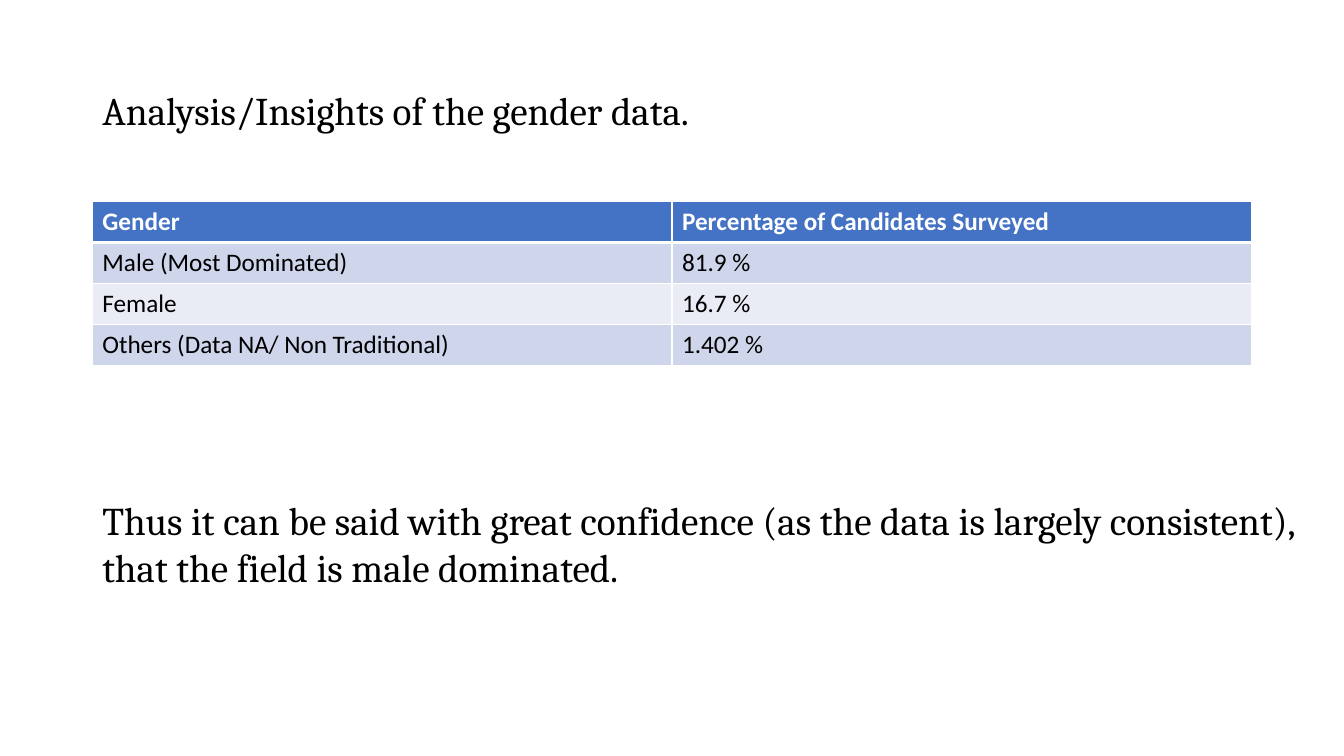
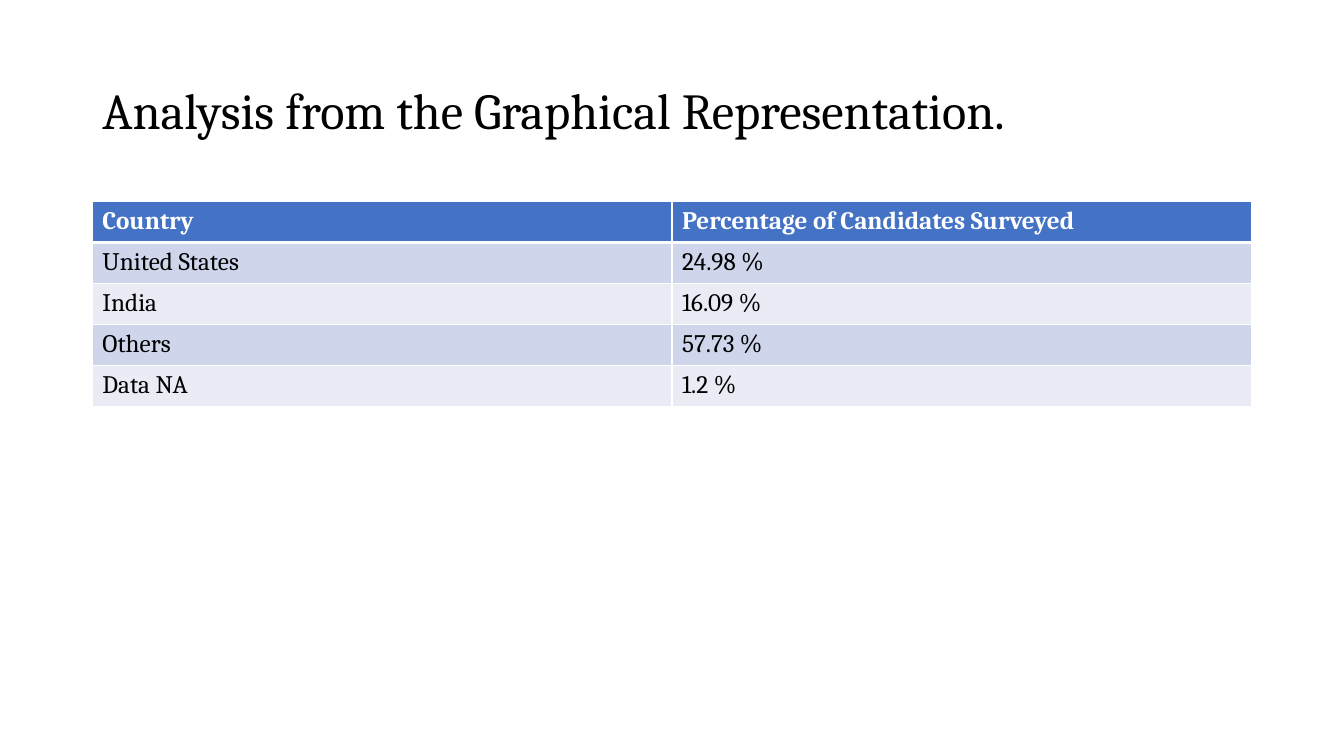
from dataclasses import dataclass

from lxml.etree import SubElement
from pptx import Presentation
from pptx.dml.color import RGBColor
from pptx.enum.text import MSO_ANCHOR, MSO_AUTO_SIZE, PP_ALIGN
from pptx.oxml.ns import qn
from pptx.util import Emu, Pt

EMU_PER_PX = 9525


# Shared colours, fonts and type sizes
@dataclass(frozen=True)
class Theme:
    text: str = "000000"
    white: str = "FFFFFF"
    header: str = "4472C4"
    band_dark: str = "CFD5EA"
    band_light: str = "E9EBF5"
    serif: str = "Cambria"
    sans: str = "Calibri"
    large_title: int = 36
    title: int = 28
    conclusion: int = 28
    table: int = 18
    thin_border: int = 1
    header_border: int = 3


THEME = Theme()

# Shared layout, in px
SLIDE_WIDTH, SLIDE_HEIGHT = 1280, 720
LEFT, CONTENT_WIDTH = 88, 1104
TITLE_TOP, TITLE_HEIGHT = 38, 139
TABLE_TOP, ROW_HEIGHT = 192, 39


def px(length):
    return Emu(length * EMU_PER_PX)


def px_box(*lengths):
    return [px(length) for length in lengths]


def format_text(text_frame, font, size, color=THEME.text, bold=False):
    for paragraph in text_frame.paragraphs:
        paragraph.alignment = PP_ALIGN.LEFT
        for run in paragraph.runs:
            run.font.name = font
            run.font.size = Pt(size)
            run.font.bold = bold
            run.font.color.rgb = RGBColor.from_string(color)


# Slide with its title
def add_titled_slide(presentation, title, size):
    slide = presentation.slides.add_slide(presentation.slide_layouts[5])
    shape = slide.shapes.title
    shape.left, shape.top, shape.width, shape.height = px_box(
        LEFT, TITLE_TOP, CONTENT_WIDTH, TITLE_HEIGHT)
    text_frame = shape.text_frame
    text_frame.text = title
    text_frame.auto_size = MSO_AUTO_SIZE.NONE
    text_frame.vertical_anchor = MSO_ANCHOR.MIDDLE
    text_frame.paragraphs[0].line_spacing = 0.9
    format_text(text_frame, THEME.serif, size)
    return slide


# Table with a header row and banded body rows
def set_borders(cell, top, bottom):
    properties = cell._tc.get_or_add_tcPr()
    thin = THEME.thin_border
    for side, width in (("L", thin), ("R", thin), ("T", top), ("B", bottom)):
        line = SubElement(properties, qn(f"a:ln{side}"), w=str(Pt(width)))
        fill = SubElement(line, qn("a:solidFill"))
        SubElement(fill, qn("a:srgbClr"), val=THEME.white)


def format_cell(cell, row_index, font):
    is_header = row_index == 0
    set_borders(
        cell,
        top=THEME.header_border if row_index == 1 else THEME.thin_border,
        bottom=THEME.header_border if is_header else THEME.thin_border)
    if is_header:
        fill_color = THEME.header
    else:
        fill_color = THEME.band_dark if row_index % 2 else THEME.band_light
    cell.fill.solid()
    cell.fill.fore_color.rgb = RGBColor.from_string(fill_color)
    text_color = THEME.white if is_header else THEME.text
    format_text(cell.text_frame, font, THEME.table, text_color, is_header)


def add_survey_table(slide, rows, font):
    table = slide.shapes.add_table(
        len(rows), len(rows[0]),
        *px_box(LEFT, TABLE_TOP, CONTENT_WIDTH, ROW_HEIGHT * len(rows))).table
    for row_index, values in enumerate(rows):
        for column_index, value in enumerate(values):
            cell = table.cell(row_index, column_index)
            cell.text = value
            format_cell(cell, row_index, font)


# Closing statement below a table
def add_conclusion(slide, text):
    text_box = slide.shapes.add_textbox(*px_box(LEFT, 468, 1160, 100))
    text_frame = text_box.text_frame
    text_frame.word_wrap = True
    text_frame.auto_size = MSO_AUTO_SIZE.SHAPE_TO_FIT_TEXT
    text_frame.text = text
    format_text(text_frame, THEME.serif, THEME.conclusion)


def main():
    presentation = Presentation()
    presentation.slide_width = px(SLIDE_WIDTH)
    presentation.slide_height = px(SLIDE_HEIGHT)

    # Gender
    gender_slide = add_titled_slide(
        presentation, "Analysis/Insights of the gender data.", THEME.title)
    add_survey_table(gender_slide, [
        ("Gender", "Percentage of Candidates Surveyed"),
        ("Male (Most Dominated)", "81.9 %"),
        ("Female", "16.7 %"),
        ("Others (Data NA/ Non Traditional)", "1.402 %"),
    ], THEME.sans)
    add_conclusion(
        gender_slide,
        "Thus it can be said with great confidence (as the data is largely "
        "consistent), that the field is male dominated.")

    # Country
    country_slide = add_titled_slide(
        presentation, "Analysis from the Graphical Representation.",
        THEME.large_title)
    add_survey_table(country_slide, [
        ("Country", "Percentage of Candidates Surveyed"),
        ("United States", "24.98 %"),
        ("India", "16.09 %"),
        ("Others", "57.73 %"),
        ("Data NA", "1.2 %"),
    ], THEME.serif)

    presentation.save("out.pptx")


if __name__ == "__main__":
    main()
